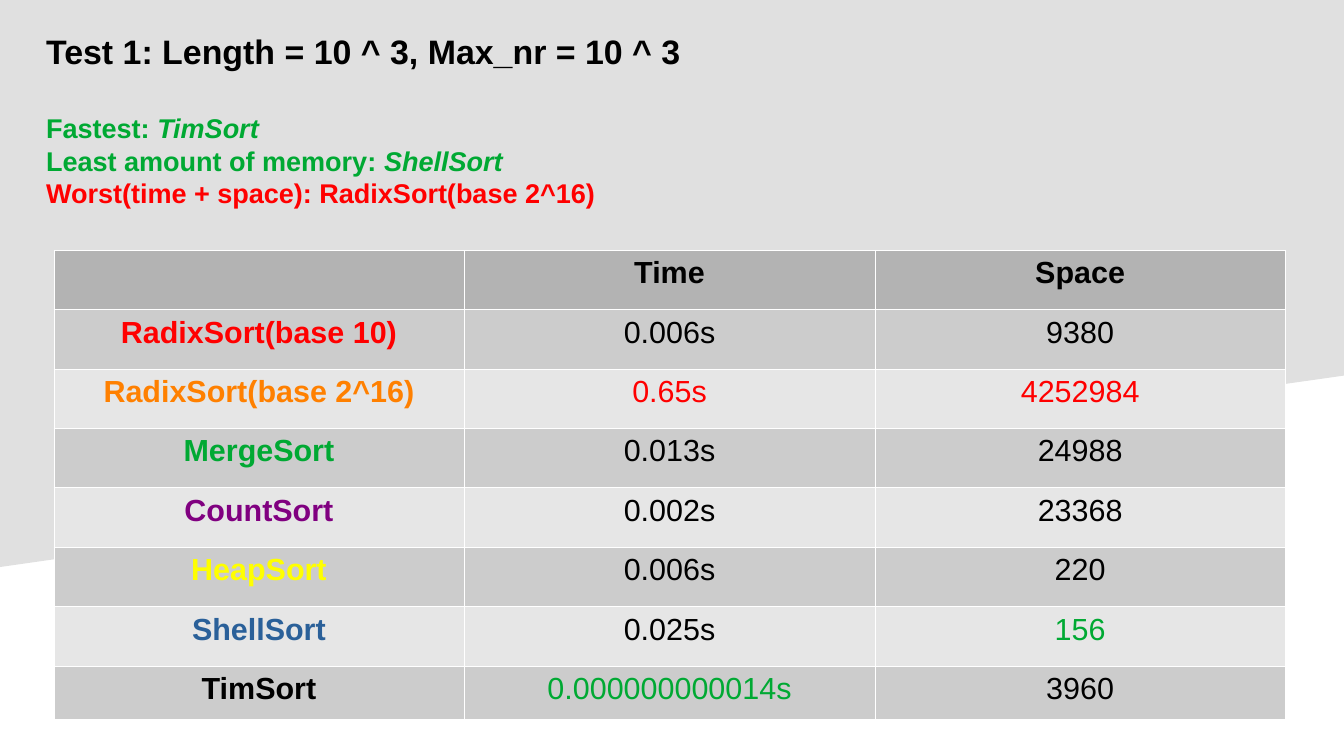
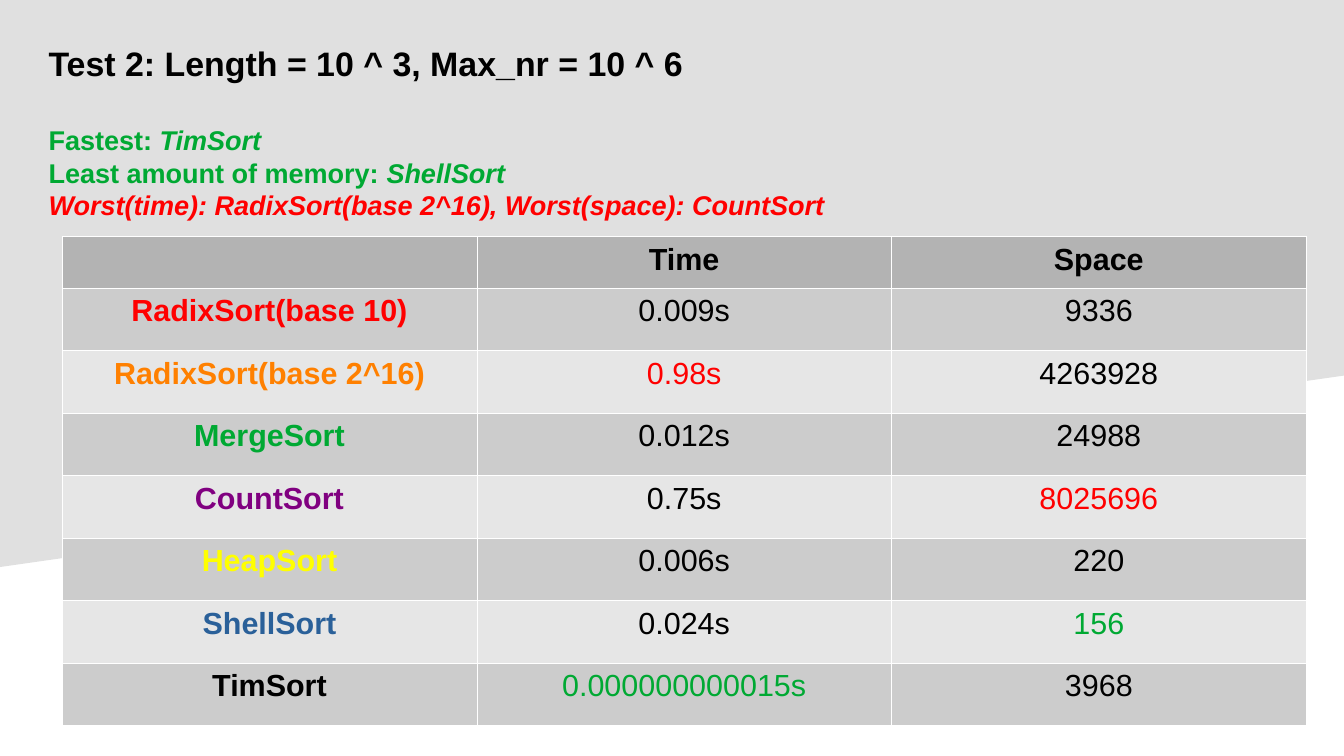
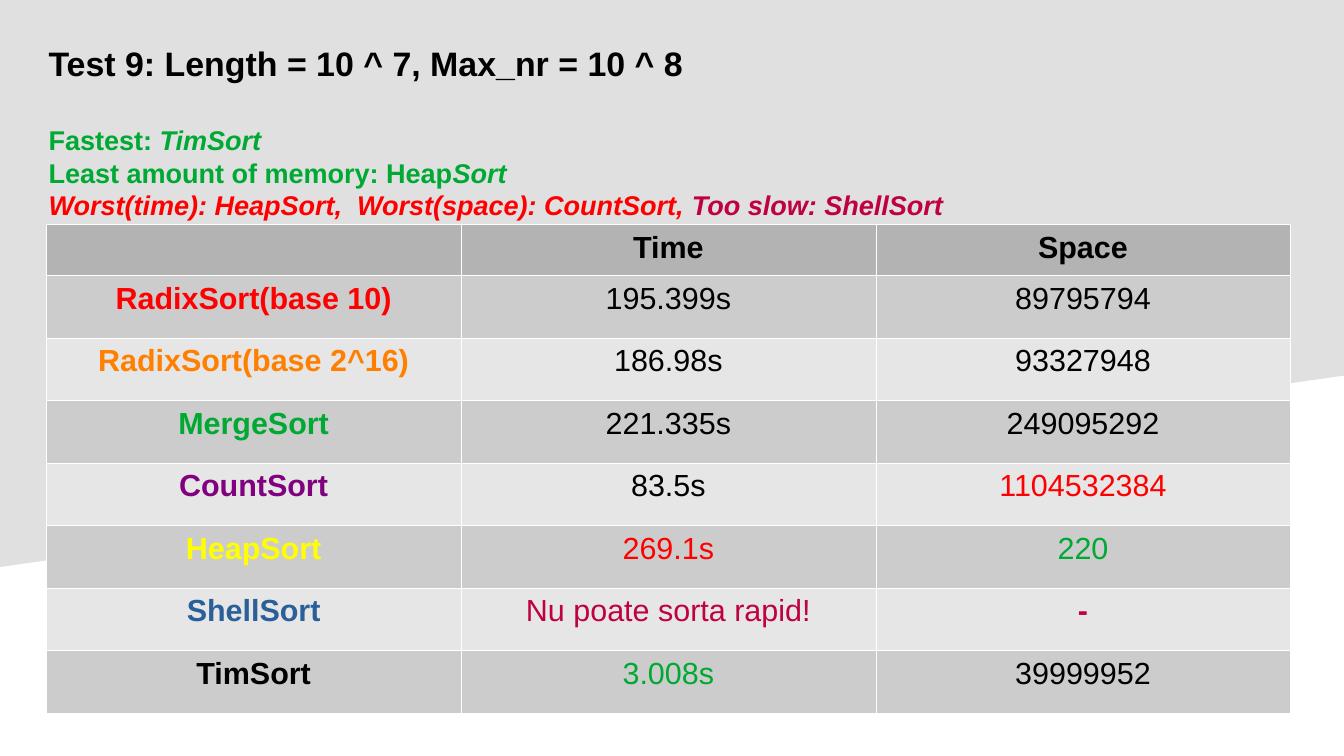
"""Builds three slides that compare sorting algorithms by time and space."""
from lxml.etree import SubElement
from pptx import Presentation
from pptx.dml.color import RGBColor
from pptx.enum.text import PP_ALIGN as Align
from pptx.oxml.ns import qn
from pptx.util import Inches, Pt

BLACK = RGBColor(0x00, 0x00, 0x00)
WHITE = RGBColor(0xFF, 0xFF, 0xFF)
RED = RGBColor(0xFF, 0x00, 0x00)
ORANGE = RGBColor(0xFF, 0x80, 0x00)
GREEN = RGBColor(0x00, 0xA9, 0x33)
PURPLE = RGBColor(0x80, 0x00, 0x80)
YELLOW = RGBColor(0xFF, 0xFF, 0x00)
BLUE = RGBColor(0x2A, 0x60, 0x99)
CRIMSON = RGBColor(0xBF, 0x00, 0x41)
BACKDROP = RGBColor(0xE0, 0xE0, 0xE0)
HEADER_FILL = RGBColor(0xB3, 0xB3, 0xB3)
BAND_FILLS = RGBColor(0xE6, 0xE6, 0xE6), RGBColor(0xCC, 0xCC, 0xCC)

FONT = "Arial"
WIDTH, HEIGHT = 11.02, 6.2
BACKDROP_POINTS = [(0, 0), (WIDTH, 0), (WIDTH, 3.08), (0, 4.65)]
TITLE_SIZE, FINDING_SIZE, CELL_SIZE = 20, 16, 18
LEADING = 1.2
HEADINGS = ["Time", "Space"]
ALGORITHMS = [
    ("RadixSort(base 10)", RED),
    ("RadixSort(base 2^16)", ORANGE),
    ("MergeSort", GREEN),
    ("CountSort", PURPLE),
    ("HeapSort", YELLOW),
    ("ShellSort", BLUE),
    ("TimSort", BLACK),
]
FASTEST = [("Fastest: ", GREEN, False), ("TimSort", GREEN, True)]
LEAST_SHELL = [("Least amount of memory: ", GREEN, False), ("ShellSort", GREEN, True)]
LEAST_HEAP = [("Least amount of memory: Heap", GREEN, False), ("Sort", GREEN, True)]

TESTS = [
    {
        "title": "Test 1: Length = 10 ^ 3, Max_nr = 10 ^ 3",
        "findings": [FASTEST, LEAST_SHELL,
                     [("Worst(time + space): RadixSort(base 2^16)", RED, False)]],
        "text_at": (0.28, 0.2),
        "table_at": (0.44, 2.05, 10.1, 3.85),
        "short_row": (7, 0.44),
        "results": [("0.006s", "9380"), ("0.65s", "4252984"), ("0.013s", "24988"),
                    ("0.002s", "23368"), ("0.006s", "220"), ("0.025s", "156"),
                    ("0.000000000014s", "3960")],
        "marks": {"0.65s": RED, "4252984": RED, "156": GREEN, "0.000000000014s": GREEN},
    },
    {
        "title": "Test 2: Length = 10 ^ 3, Max_nr = 10 ^ 6",
        "findings": [FASTEST, LEAST_SHELL,
                     [("Worst(time): RadixSort(base 2^16), Worst(space): CountSort",
                       RED, True)]],
        "text_at": (0.3, 0.3),
        "table_at": (0.51, 1.94, 10.2, 4.01),
        "short_row": (0, 0.42),
        "results": [("0.009s", "9336"), ("0.98s", "4263928"), ("0.012s", "24988"),
                    ("0.75s", "8025696"), ("0.006s", "220"), ("0.024s", "156"),
                    ("0.000000000015s", "3968")],
        "marks": {"0.98s": RED, "8025696": RED, "156": GREEN, "0.000000000015s": GREEN},
    },
    {
        "title": "Test 9: Length = 10 ^ 7, Max_nr = 10 ^ 8",
        "findings": [FASTEST, LEAST_HEAP,
                     [("Worst(time): HeapSort,  Worst(space): CountSort, ", RED, True),
                      ("Too slow: ShellSort", CRIMSON, True)]],
        "text_at": (0.3, 0.3),
        "table_at": (0.38, 1.84, 10.2, 4.01),
        "short_row": (0, 0.42),
        "results": [("195.399s", "89795794"), ("186.98s", "93327948"),
                    ("221.335s", "249095292"), ("83.5s", "1104532384"),
                    ("269.1s", "220"), ("Nu poate sorta rapid!", "-"),
                    ("3.008s", "39999952")],
        "marks": {"1104532384": RED, "269.1s": RED, "220": GREEN, "3.008s": GREEN,
                  "Nu poate sorta rapid!": CRIMSON, "-": CRIMSON},
    },
]


def add_span(para, text, color, size, bold=True, italic=False):
    span = para.add_run()
    span.text = text
    style = {"name": FONT, "size": Pt(size), "bold": bold, "italic": italic}
    for name, value in style.items():
        setattr(span.font, name, value)
    span.font.color.rgb = color


def add_backdrop(page):
    start, *others = [(Inches(x), Inches(y)) for x, y in BACKDROP_POINTS]
    builder = page.shapes.build_freeform(*start)
    builder.add_line_segments(others, close=True)
    backdrop = builder.convert_to_shape()
    backdrop.shadow.inherit = False
    backdrop.fill.solid()
    backdrop.fill.fore_color.rgb = BACKDROP
    backdrop.line.fill.background()


def add_summary(page, test):
    left, top = test["text_at"]
    box = page.shapes.add_textbox(Inches(left), Inches(top), Inches(10.6), Inches(1.6))
    frame = box.text_frame
    frame.word_wrap = True
    title = frame.paragraphs[0]
    title.line_spacing = Pt(TITLE_SIZE * LEADING)
    add_span(title, test["title"], BLACK, TITLE_SIZE)
    for index, finding in enumerate(test["findings"]):
        para = frame.add_paragraph()
        para.line_spacing = Pt(FINDING_SIZE * LEADING)
        para.space_before = Pt(0 if index else TITLE_SIZE * LEADING)
        for text, color, italic in finding:
            add_span(para, text, color, FINDING_SIZE, italic=italic)


def add_borders(cell):
    properties = cell._tc.get_or_add_tcPr()
    for index, side in enumerate(("lnL", "lnR", "lnT", "lnB")):
        line = properties.makeelement(qn(f"a:{side}"), {"w": str(Pt(0.06))})
        fill = SubElement(line, qn("a:solidFill"))
        SubElement(fill, qn("a:srgbClr"), val=str(WHITE))
        properties.insert(index, line)


def fill_cell(cell, fill, text, color, bold):
    cell.fill.solid()
    cell.fill.fore_color.rgb = fill
    add_borders(cell)
    if text:
        para = cell.text_frame.paragraphs[0]
        para.alignment = Align.CENTER
        add_span(para, text, color, CELL_SIZE, bold)


def add_results(page, test):
    marks = test["marks"]
    rows = [[("", BLACK, True)] + [(heading, BLACK, True) for heading in HEADINGS]]
    for (name, color), results in zip(ALGORITHMS, test["results"]):
        values = [(text, marks.get(text, BLACK), text == "-") for text in results]
        rows.append([(name, color, True)] + values)

    left, top, width, height = map(Inches, test["table_at"])
    table = page.shapes.add_table(len(rows), len(rows[0]), left, top, width, height).table
    short_index, short_height = test["short_row"]
    row_height = (height - Inches(short_height)) // (len(rows) - 1)
    for index, cells in enumerate(rows):
        short = index == short_index
        table.rows[index].height = Inches(short_height) if short else row_height
        fill = BAND_FILLS[index % 2] if index else HEADER_FILL
        for column, content in enumerate(cells):
            fill_cell(table.cell(index, column), fill, *content)


def main():
    deck = Presentation()
    deck.slide_width, deck.slide_height = Inches(WIDTH), Inches(HEIGHT)
    for test in TESTS:
        page = deck.slides.add_slide(deck.slide_layouts[6])
        add_backdrop(page)
        add_summary(page, test)
        add_results(page, test)
    deck.save("out.pptx")


if __name__ == "__main__":
    main()
